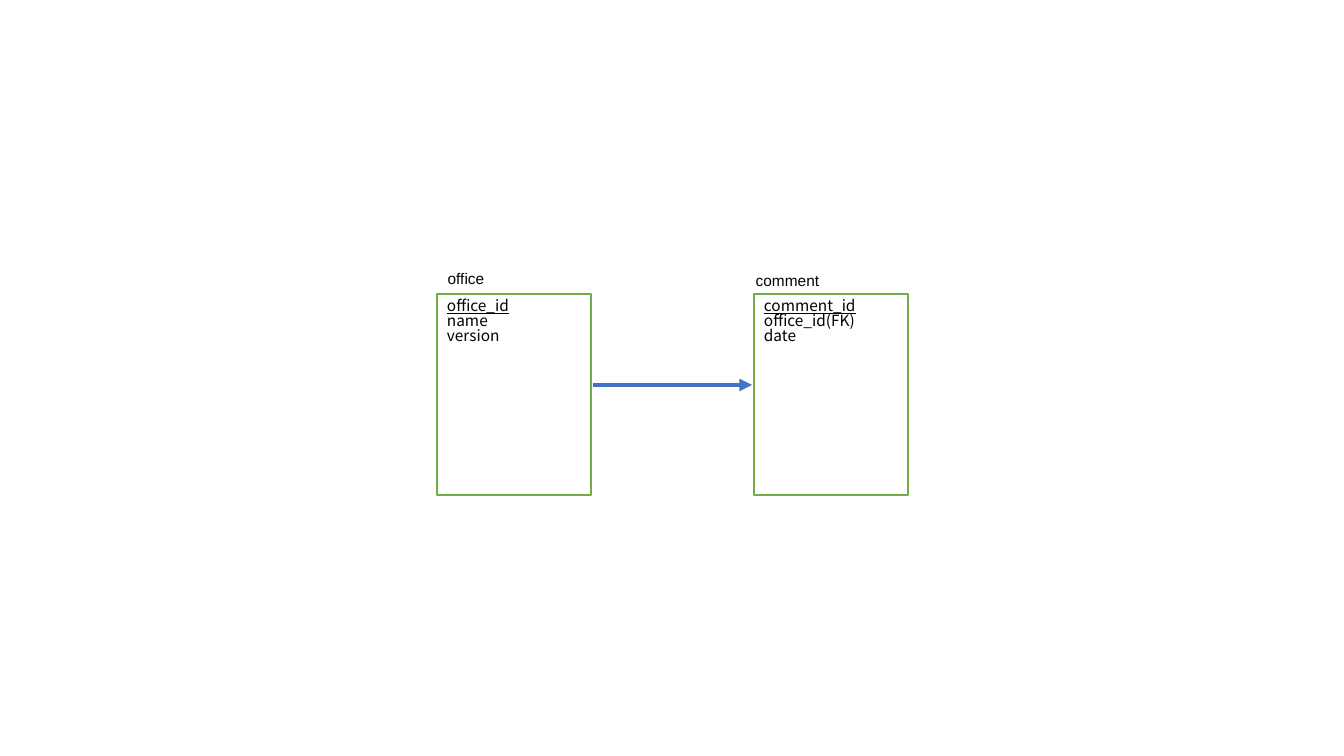
from pptx import Presentation
from pptx import util as u
from pptx.dml.color import RGBColor
from pptx.enum import shapes, text
from pptx.oxml.ns import qn
from lxml import etree

COLORS = {"ink": "000000", "paper": "FFFFFF", "edge": "70AD47", "arrow": "4472C4"}
TABLES = [
    {"name": "office", "left": 437, "label": (436, 260),
     "fields": ["office_id", "name", "version"]},
    {"name": "comment", "left": 754, "label": (744, 262),
     "fields": ["comment_id", "office_id(FK)", "date"]},
]
TOP, WIDTH, HEIGHT = 294, 154, 201
LABEL = (148, 36)
GAP = 2
SCALE = 914400 / 100.8


def px(n):
    return u.Emu(round(n * SCALE))


def rgb(key):
    return RGBColor.from_string(COLORS[key])


def add_box(kind, *area):
    box = slide.shapes.add_shape(kind, *map(px, area))
    box.shadow.inherit = False
    box.fill.background()
    box.line.fill.background()
    return box


def write(box, lines, font="Arial", anchor="MIDDLE", key=False, space=None):
    frame = box.text_frame
    frame.word_wrap = True
    frame.vertical_anchor = getattr(text.MSO_ANCHOR, anchor)
    for i, line in enumerate(lines):
        para = frame.add_paragraph() if i else frame.paragraphs[0]
        para.alignment = text.PP_ALIGN.LEFT
        para.line_spacing = space
        run = para.add_run()
        run.text = line
        run.font.name = font
        run.font.size = u.Pt(11)
        run.font.color.rgb = rgb("ink")
        run.font.underline = key and i == 0


deck = Presentation()
deck.slide_width, deck.slide_height = px(1344), px(756)
slide = deck.slides.add_slide(deck.slide_layouts[6])

for table in TABLES:
    box = add_box(shapes.MSO_SHAPE.RECTANGLE, table["left"], TOP, WIDTH, HEIGHT)
    box.fill.solid()
    box.fill.fore_color.rgb = rgb("paper")
    box.line.color.rgb = rgb("edge")
    box.line.width = u.Pt(1)
    write(box, table["fields"], font="Noto Sans CJK JP", anchor="TOP", key=True, space=0.83)
    label = add_box(shapes.MSO_SHAPE.ROUNDED_RECTANGLE, *table["label"], *LABEL)
    write(label, [table["name"]])

start = TABLES[0]["left"] + WIDTH + GAP
end = TABLES[1]["left"] - GAP
level = 385
arrow = slide.shapes.add_connector(
    shapes.MSO_CONNECTOR.STRAIGHT, px(start), px(level), px(end), px(level))
arrow.line.color.rgb = rgb("arrow")
arrow.line.width = u.Pt(3)
etree.SubElement(arrow.line._get_or_add_ln(), qn("a:tailEnd"), type="triangle")
etree.SubElement(arrow._element.spPr, qn("a:effectLst"))

deck.save("out.pptx")
